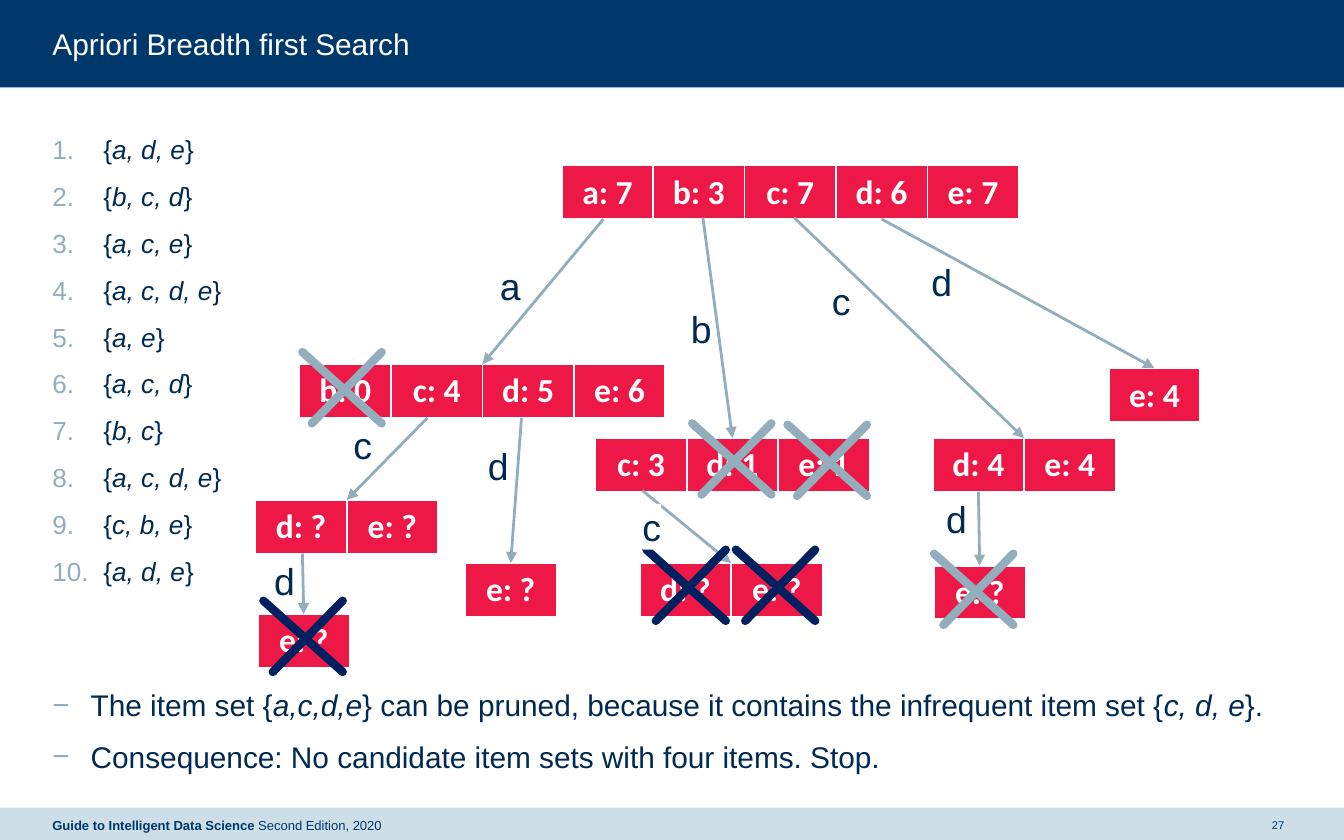
"""Builds a slide on Apriori breadth first search: an item set tree, its transactions and conclusions."""
import dataclasses
import typing

import lxml.etree
import pptx
import pptx.dml.color
import pptx.enum.shapes
import pptx.enum.text
import pptx.oxml.ns
import pptx.util


@dataclasses.dataclass(frozen=True)
class Theme:
    """Colours and type sizes of the slide."""
    white: str = "FFFFFF"
    navy: str = "00386C"
    pale: str = "CDDEE7"
    ink: str = "002A51"
    steel: str = "92AEBC"
    midnight: str = "002060"
    red: str = "ED1846"
    font: str = "Arial"
    node_font: str = "Calibri"
    title: float = 16
    listing: float = 14
    notes: float = 16
    node: float = 18
    label: float = 20
    footer: float = 7
    number: float = 6


class Area(typing.NamedTuple):
    """Left, top, width and height in grid columns and rows."""
    left: float
    top: float
    width: float
    height: float


class Node(typing.NamedTuple):
    """A row of item counters with its top left corner."""
    left: float
    top: float
    items: str


class Edge(typing.NamedTuple):
    """A straight line between two grid points."""
    x1: float
    y1: float
    x2: float
    y2: float


class Label(typing.NamedTuple):
    """An item name beside a branch."""
    left: float
    top: float
    text: str


class Cross(typing.NamedTuple):
    """The top left corner and colour of a pruning mark."""
    left: float
    top: float
    color: str


class Bullet(typing.NamedTuple):
    """Bullet element, its attributes and the hanging indent in columns."""
    tag: str
    values: dict[str, str]
    indent: float


THEME = Theme()
COLUMNS = 100
WIDTH, HEIGHT = pptx.util.Inches(10), pptx.util.Inches(6.25)
CELL_WIDTH, CELL_HEIGHT = 6.8, 4.1
FLAT = {"margin_left": 0, "margin_top": 0, "margin_right": 0, "margin_bottom": 0}
TOP, MIDDLE = pptx.enum.text.MSO_ANCHOR.TOP, pptx.enum.text.MSO_ANCHOR.MIDDLE
LEFT, CENTER = pptx.enum.text.PP_ALIGN.LEFT, pptx.enum.text.PP_ALIGN.CENTER
NUMBERED = Bullet("a:buAutoNum", {"type": "arabicPeriod"}, 3.8)
DASHED = Bullet("a:buChar", {"char": "−"}, 2.85)

TRANSACTIONS = ["a, d, e", "b, c, d", "a, c, e", "a, c, d, e", "a, e",
                "a, c, d", "b, c", "a, c, d, e", "c, b, e", "a, d, e"]
NOTES = ["The item set {*a,c,d,e*} can be pruned, because it contains the infrequent item set {*c, d, e*}.",
         "Consequence: No candidate item sets with four items. Stop."]
NODES = [Node(41.8, 12.3, "a: 7|b: 3|c: 7|d: 6|e: 7"), Node(22.3, 27.1, "b: 0|c: 4|d: 5|e: 6"),
         Node(44.3, 32.6, "c: 3|d: 1|e: 1"), Node(69.4, 32.6, "d: 4|e: 4"), Node(82.5, 27.4, "e: 4"),
         Node(19, 37.2, "d: ?|e: ?"), Node(34.6, 41.9, "e: ?"), Node(47.6, 41.9, "d: ?|e: ?"),
         Node(69.5, 42.1, "e: ?"), Node(19.2, 45.7, "e: ?")]
EDGES = [Edge(44.9, 16.3, 35.9, 27.1), Edge(52.3, 16.2, 54.5, 32.6), Edge(59.1, 16.2, 76.2, 32.6),
         Edge(65.6, 16.3, 85.9, 27.4), Edge(31.8, 31.1, 25.8, 37.2), Edge(38.8, 31.1, 38, 41.9),
         Edge(47.8, 36.5, 54.4, 41.9), Edge(72.8, 36.6, 72.9, 42.1), Edge(22.5, 41.2, 22.6, 45.7)]
CROSSES = [Cross(22.5, 26.2, THEME.steel), Cross(51.5, 31.5, THEME.steel), Cross(58.6, 31.6, THEME.steel),
           Cross(48.1, 40.9, THEME.midnight), Cross(54.75, 40.9, THEME.midnight),
           Cross(69.5, 41.2, THEME.steel), Cross(19.6, 44.7, THEME.midnight)]
LABELS = [Label(37.2, 19.6, "a"), Label(51.4, 22.8, "b"), Label(61.9, 20.7, "c"), Label(69.3, 19.3, "d"),
          Label(26.3, 31.4, "c"), Label(36.3, 33, "d"), Label(47.8, 37.5, "c"), Label(70.4, 36.9, "d"),
          Label(20.4, 41.5, "d")]


def grid(*counts: float) -> list[int]:
    """Turns grid counts into slide lengths."""
    return [round(WIDTH * count / COLUMNS) for count in counts]


def rgb(color: str) -> pptx.dml.color.RGBColor:
    """Turns a hex value into a colour."""
    return pptx.dml.color.RGBColor.from_string(color)


def apply(target: typing.Any, values: dict[str, typing.Any]) -> None:
    """Sets each named attribute on the target."""
    for name, value in values.items():
        setattr(target, name, value)


def child(parent: typing.Any, tag: str, **values: str) -> typing.Any:
    """Appends a drawing element."""
    return lxml.etree.SubElement(parent, pptx.oxml.ns.qn(tag), values)


def write(para: typing.Any, text: str, size: float, color: str, font: str = THEME.font,
          marked: str = "italic") -> None:
    """Writes text whose starred parts get the marked style."""
    for index, part in enumerate(text.split("*")):
        if part:
            span = para.add_run()
            span.text = part
            apply(span.font, {"name": font, "size": pptx.util.Pt(size), marked: index % 2 == 1})
            span.font.color.rgb = rgb(color)


def draw_band(page: typing.Any, area: Area, color: str) -> None:
    """Draws a plain band."""
    band = page.shapes.add_shape(pptx.enum.shapes.MSO_SHAPE.RECTANGLE, *grid(*area))
    band.shadow.inherit = False
    band.fill.solid()
    band.fill.fore_color.rgb = rgb(color)
    band.line.fill.background()


def draw_text(page: typing.Any, area: Area, lines: list[str], size: float, color: str, anchor: typing.Any = TOP,
              align: typing.Any = LEFT, wrap: bool = True, marked: str = "italic",
              bullet: Bullet | None = None) -> typing.Any:
    """Draws a text box, with a bullet on each line if one is given."""
    box = page.shapes.add_textbox(*grid(*area))
    apply(box.text_frame, FLAT | {"word_wrap": wrap, "vertical_anchor": anchor})
    for index, line in enumerate(lines):
        para = box.text_frame.add_paragraph() if index else box.text_frame.paragraphs[0]
        para.alignment = align
        write(para, line, size, color, marked=marked)
        if bullet:
            apply(para, {"line_spacing": 1.05, "space_before": pptx.util.Pt(7.5)})
            layout = para._p.get_or_add_pPr()
            indent = grid(bullet.indent)[0]
            layout.set("marL", str(indent))
            layout.set("indent", str(-indent))
            child(child(layout, "a:buClr"), "a:srgbClr", val=THEME.steel)
            child(layout, "a:buFont", typeface=THEME.font)
            child(layout, bullet.tag, **bullet.values)
    return box


def draw_node(page: typing.Any, node: Node) -> None:
    """Draws a tree node as a one row table."""
    items = node.items.split("|")
    area = Area(node.left, node.top, CELL_WIDTH * len(items), CELL_HEIGHT)
    table = page.shapes.add_table(1, len(items), *grid(*area)).table
    apply(table, {"first_row": False, "horz_banding": False})
    for cell, item in zip(table.iter_cells(), items):
        cell.fill.solid()
        cell.fill.fore_color.rgb = rgb(THEME.red)
        para = cell.text_frame.paragraphs[0]
        para.alignment = CENTER
        write(para, f"*{item}*", THEME.node, THEME.white, THEME.node_font, "bold")
        frame = cell._tc.get_or_add_tcPr()
        for index, (side, points) in enumerate({"L": 1, "R": 1, "T": 1, "B": 3}.items()):
            border = child(frame, f"a:ln{side}", w=str(pptx.util.Pt(points)))
            child(child(border, "a:solidFill"), "a:srgbClr", val=THEME.white)
            frame.insert(index, border)


def draw_line(page: typing.Any, edge: Edge, color: str, points: float, arrow: bool) -> None:
    """Draws a line, with an arrowhead or with round ends."""
    line = page.shapes.add_connector(pptx.enum.shapes.MSO_CONNECTOR.STRAIGHT, *grid(*edge))
    line.line.color.rgb = rgb(color)
    line.line.width = pptx.util.Pt(points)
    properties = line._element.spPr
    stroke = properties.find(pptx.oxml.ns.qn("a:ln"))
    if arrow:
        child(stroke, "a:tailEnd", type="triangle")
    else:
        stroke.set("cap", "rnd")
    child(properties, "a:effectLst")


def draw_cross(page: typing.Any, cross: Cross) -> None:
    """Draws a pruning mark of two strokes."""
    left, top, color = cross
    for start, end in ((0, 5.9), (5.9, 0.7)):
        draw_line(page, Edge(left + start, top, left + end, top + 5.3), color, 4.5, False)


def draw_label(page: typing.Any, label: Label) -> None:
    """Draws a branch label on white."""
    area = Area(label.left, label.top, 1.4 if label.text == "c" else 1.6, 3.4)
    box = draw_text(page, area, [label.text], THEME.label, THEME.ink, wrap=False)
    box.fill.solid()
    box.fill.fore_color.rgb = rgb(THEME.white)


def main() -> None:
    """Builds and saves the deck."""
    deck = pptx.Presentation()
    apply(deck, {"slide_width": WIDTH, "slide_height": HEIGHT})
    page = deck.slides.add_slide(deck.slide_layouts[6])
    draw_band(page, Area(0, 0, COLUMNS, 6.5), THEME.navy)
    draw_band(page, Area(0, 60.1, COLUMNS, 2.6), THEME.pale)
    draw_text(page, Area(3.9, 1.9, 92.2, 2.7), ["Apriori Breadth first Search"], THEME.title, THEME.white)
    draw_text(page, Area(94.1, 60.1, 2, 2.6), ["27"], THEME.number, THEME.navy, MIDDLE, CENTER)
    draw_text(page, Area(3.9, 60.1, 43.9, 2.6), ["*Guide to Intelligent Data Science *Second Edition, 2020"],
              THEME.footer, THEME.navy, MIDDLE, marked="bold")
    draw_text(page, Area(3.9, 9.8, 15, 33), [f"{{*{items}*}}" for items in TRANSACTIONS],
              THEME.listing, THEME.ink, bullet=NUMBERED)
    draw_text(page, Area(3.9, 51, 91.6, 7), NOTES, THEME.notes, THEME.ink, bullet=DASHED)
    for node in NODES:
        draw_node(page, node)
    for edge in EDGES:
        draw_line(page, edge, THEME.steel, 1.5, True)
    for cross in CROSSES:
        draw_cross(page, cross)
    for label in LABELS:
        draw_label(page, label)
    deck.save("out.pptx")


if __name__ == "__main__":
    main()
